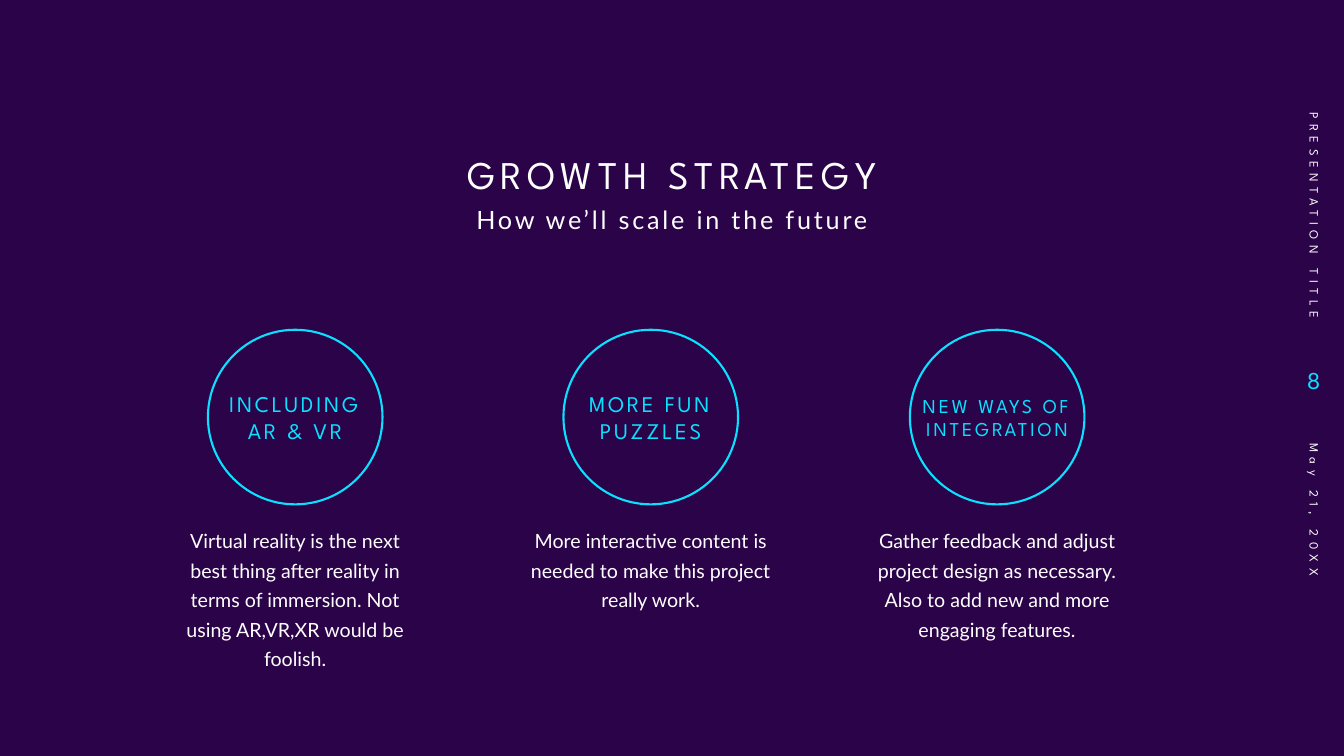
import dataclasses

import pptx
import pptx.dml.color
import pptx.enum.shapes
import pptx.enum.text
import pptx.oxml.ns
import pptx.util
from lxml import etree

Cm = pptx.util.Cm
Align = pptx.enum.text.PP_ALIGN
Anchor = pptx.enum.text.MSO_ANCHOR


@dataclasses.dataclass(frozen=True)
class Style:
    """Typeface, size, colour and letter spacing of one kind of text."""
    face: str
    size: int
    color: str
    tracking: int = 0


@dataclasses.dataclass(frozen=True)
class Theme:
    """Colours and text styles of the slide."""
    ground: str = "2B0348"
    accent: str = "0BE1FF"
    title: Style = Style("League Spartan", 28, "FFFFFF", 4)
    subtitle: Style = Style("Lato", 18, "FFFFFF", 2)
    label: Style = Style("League Spartan", 16, "0BE1FF", 2)
    body: Style = Style("Lato", 14, "FFFFFF")
    side: Style = Style("League Spartan", 9, "FFFFFF", 4)
    number: Style = Style("Lato", 16, "0BE1FF")


THEME = Theme()
STRATEGIES = [
    (7.44, "INCLUDING AR & VR", 16,
     "Virtual reality is the next best thing after reality in terms of "
     "immersion. Not using AR,VR,XR would be foolish."),
    (16.4, "MORE FUN PUZZLES", 16,
     "More interactive content is needed to make this project really work."),
    (25.13, "NEW WAYS OF INTEGRATION", 14,
     "Gather feedback and adjust project design as necessary. "
     "Also to add new and more engaging features."),
]


def rgb(color):
    """Return the colour object for a hex string."""
    return pptx.dml.color.RGBColor.from_string(color)


def place(shape, left, top, width, height):
    """Move and size a shape, in centimetres."""
    shape.left, shape.top = Cm(left), Cm(top)
    shape.width, shape.height = Cm(width), Cm(height)


def write(shape, text, style, align=Align.CENTER, anchor=Anchor.MIDDLE, spacing=1.0):
    """Fill a box with one plain paragraph in the given style."""
    frame = shape.text_frame
    frame.text = text
    frame.word_wrap = True
    frame.auto_size = pptx.enum.text.MSO_AUTO_SIZE.NONE
    frame.vertical_anchor = anchor
    para = frame.paragraphs[0]
    properties = para._p.get_or_add_pPr()
    properties.set("marL", "0")
    properties.set("indent", "0")
    etree.SubElement(properties, pptx.oxml.ns.qn("a:buNone"))
    para.alignment = align
    para.line_spacing = spacing
    para.space_before = pptx.util.Pt(0)
    span = para.runs[0]
    span.font.name = style.face
    span.font.size = pptx.util.Pt(style.size)
    span.font.bold = False
    span.font.color.rgb = rgb(style.color)
    span._r.get_or_add_rPr().set("spc", str(style.tracking * 100))


def add_heading(page, left, top, width):
    """Place the title with the subtitle centred below it."""
    title, subtitle = page.shapes.title, page.placeholders[1]
    place(title, left, top, width, 1.88)
    write(title, "GROWTH STRATEGY", THEME.title, anchor=Anchor.BOTTOM, spacing=0.9)
    place(subtitle, left + 0.65, top + 1.88, width - 1.3, 2)
    write(subtitle, "How we’ll scale in the future", THEME.subtitle,
          anchor=Anchor.TOP, spacing=0.9)


def add_strategy(page, description, center, top, label, label_size, text):
    """Place a ringed label above its description, around a centre line."""
    diameter, label_width, label_height, text_width = 4.4, 4.75, 2.92, 6.76
    ring = page.shapes.add_shape(
        pptx.enum.shapes.MSO_SHAPE.OVAL, Cm(center - diameter / 2), Cm(top),
        Cm(diameter), Cm(diameter))
    ring.shadow.inherit = False
    ring.fill.background()
    ring.line.color.rgb = rgb(THEME.accent)
    ring.line.width = pptx.util.Pt(1.5)
    caption = page.shapes.add_textbox(
        Cm(center - label_width / 2), Cm(top + (diameter - label_height) / 2),
        Cm(label_width), Cm(label_height))
    write(caption, label, dataclasses.replace(THEME.label, size=label_size))
    place(description, center - text_width / 2, top + 4.75, text_width, 3.2)
    write(description, text, THEME.body, anchor=Anchor.TOP, spacing=1.25)


def add_sidebar(page, center):
    """Place the turned title, page number and turned date on one centre line."""
    entries = [
        ("PRESENTATION TITLE", THEME.side, 4.42, 7.7, 1.02, 90, Align.RIGHT),
        ("8", THEME.number, 9.59, 1.52, 1.6, 0, Align.RIGHT),
        ("May 21, 20XX", THEME.side, 14.6, 7.37, 1.02, 90, Align.LEFT),
    ]
    for text, style, middle, width, height, turn, align in entries:
        shift = 0 if turn else -0.37
        box = page.shapes.add_textbox(
            Cm(center + shift - width / 2), Cm(middle - height / 2),
            Cm(width), Cm(height))
        box.rotation = turn
        write(box, text, style, align=align)


def main():
    """Build and save the slide."""
    deck = pptx.Presentation()
    deck.slide_width, deck.slide_height = Cm(33.87), Cm(19.05)
    page = deck.slides.add_slide(deck.slide_layouts.get_by_name("Comparison"))
    page.background.fill.solid()
    page.background.fill.fore_color.rgb = rgb(THEME.ground)
    add_heading(page, 9.14, 3.23, 15.6)
    for index, (center, label, size, text) in enumerate(STRATEGIES, start=2):
        add_strategy(page, page.placeholders[index], center, 8.31, label, size, text)
    add_sidebar(page, 33.13)
    deck.save("out.pptx")


if __name__ == "__main__":
    main()
